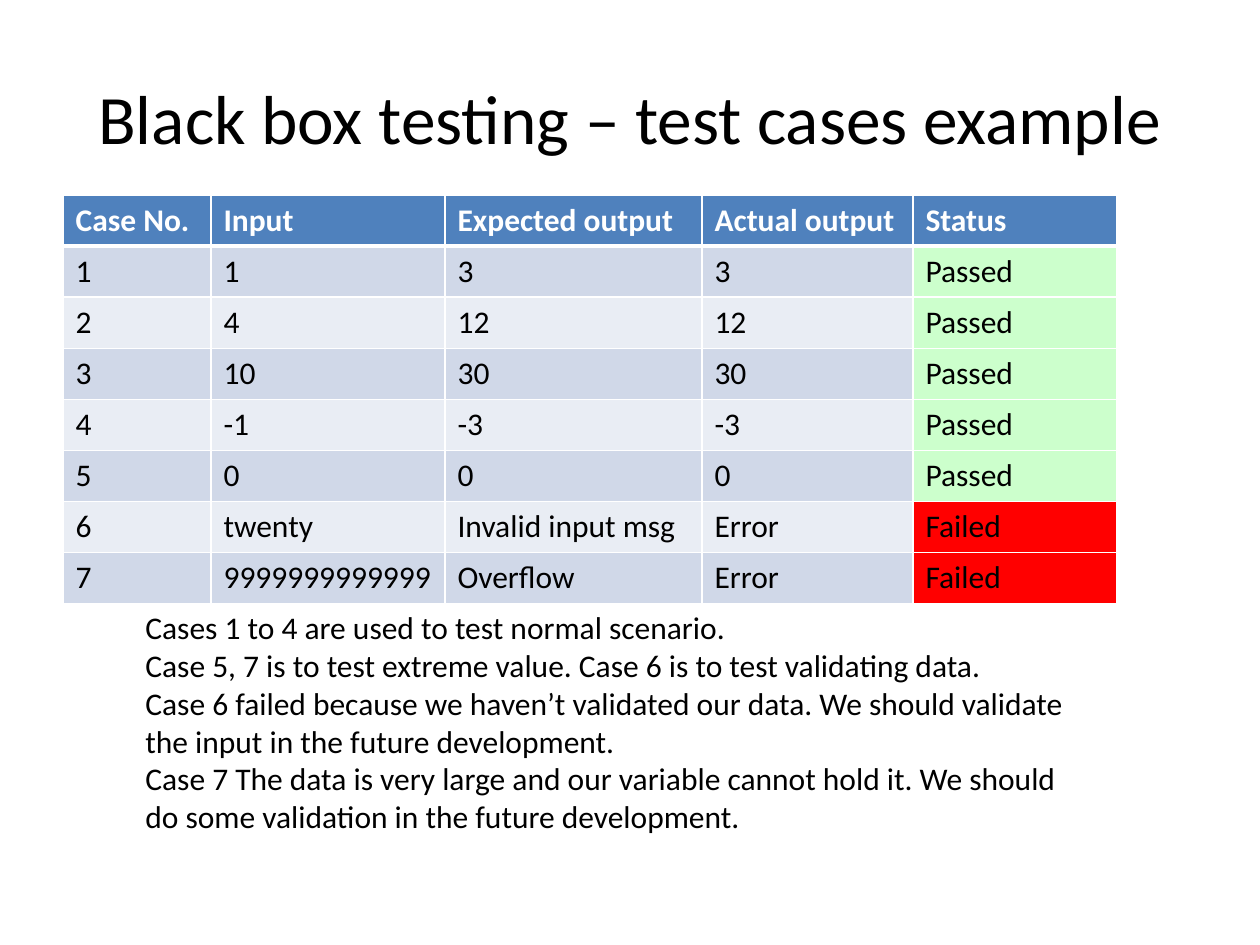
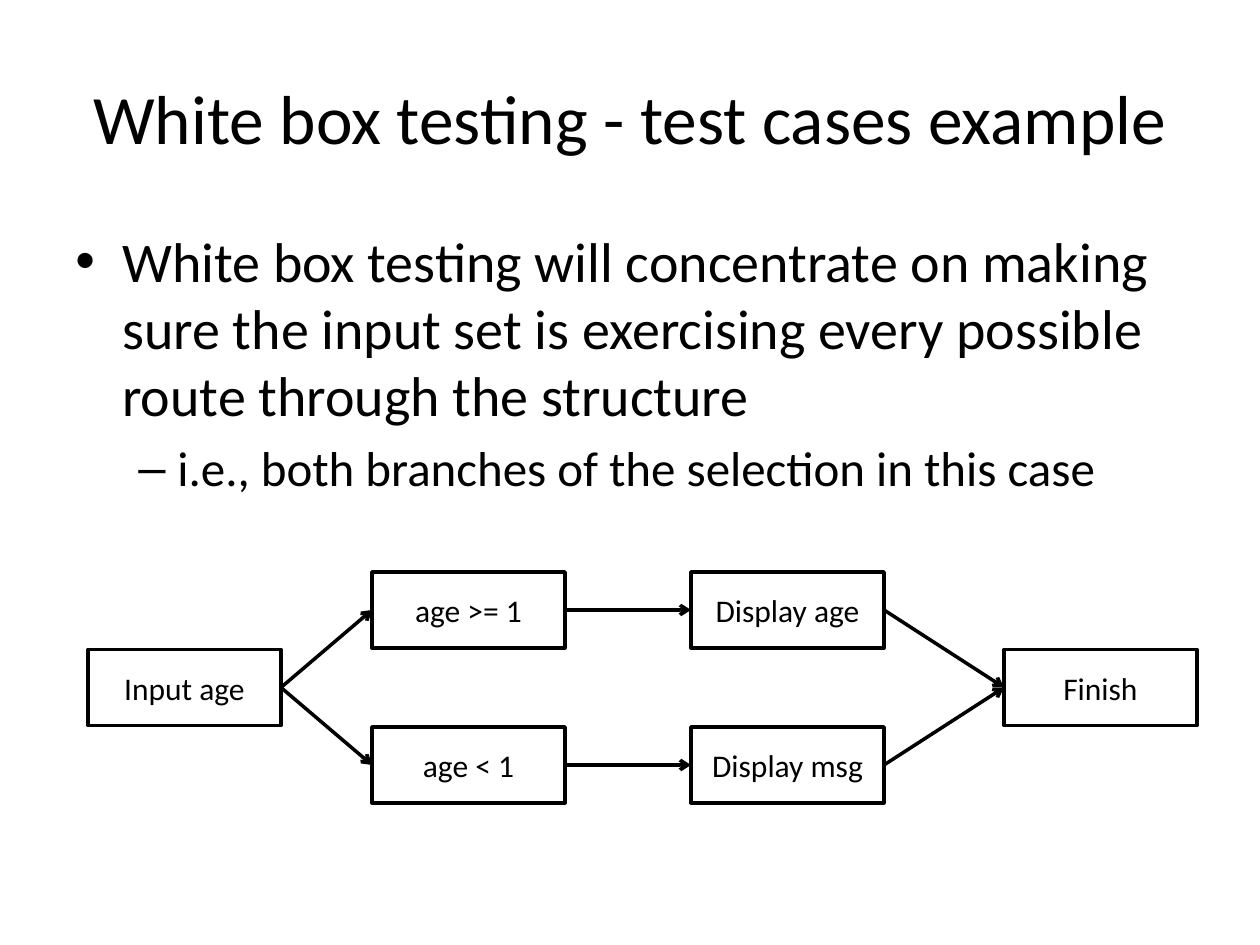
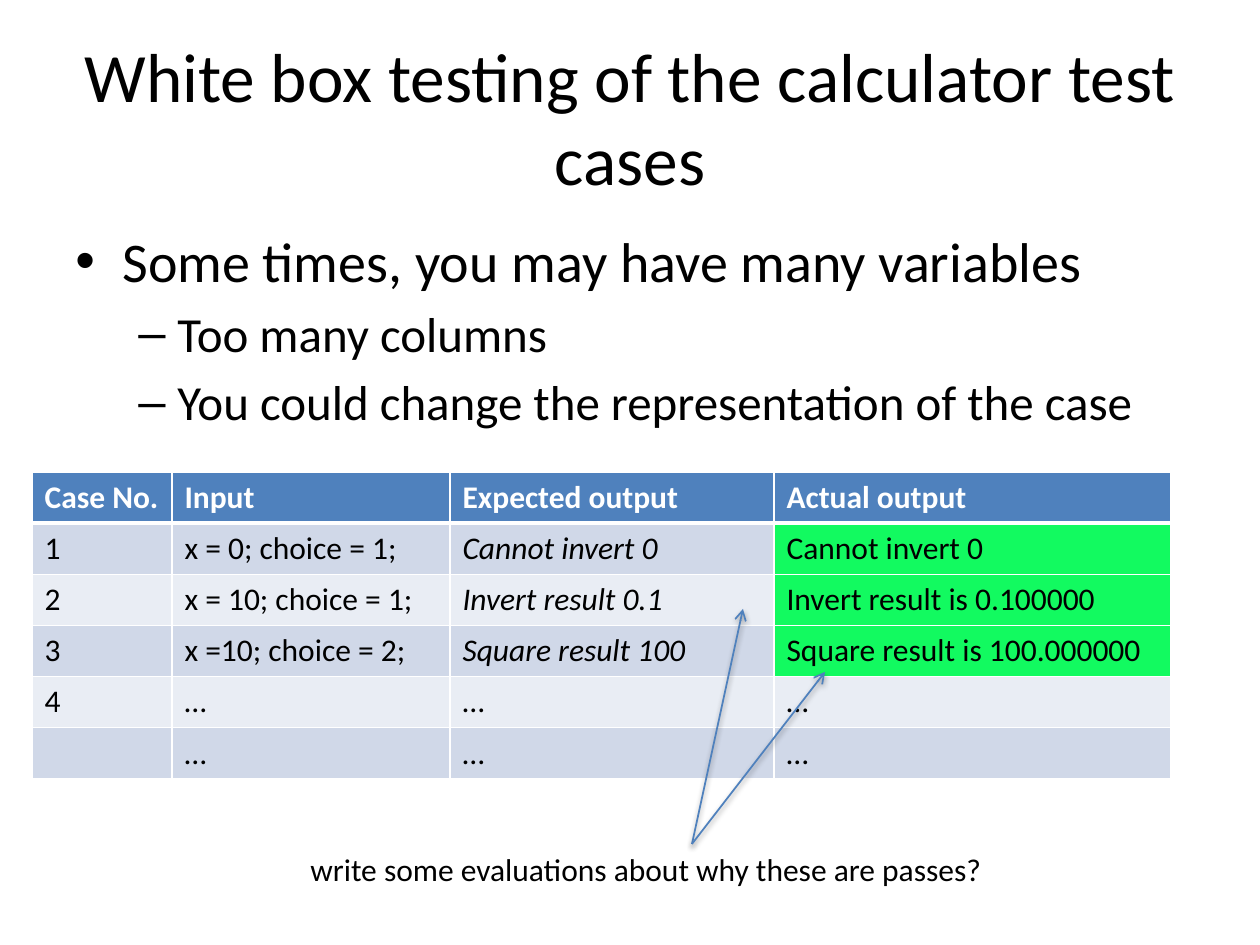
import pptx
import pptx.util
import pptx.dml.color
import pptx.enum.shapes
import pptx.enum.text
import pptx.oxml
import pptx.oxml.ns
import lxml.etree

PX = 914400 / 126
FONT = "Calibri"
INK = {
    "text": "000000", "white": "FFFFFF", "head": "4F81BD",
    "odd": "D0D8E8", "even": "E9EDF4",
    "pass": "CCFFCC", "fail": "FF0000", "match": "12FA60",
}
TITLE = (63, 38, 1134, 157)
BODY = (63, 220, 1134, 624)
LEVELS = [("•", 32, 47, -47), ("–", 28, 102, -39)]


def emu(px):
    return round(px * PX)


def color(name):
    return pptx.dml.color.RGBColor.from_string(INK[name])


def add_xml(parent, tag, **attrs):
    item = lxml.etree.SubElement(parent, pptx.oxml.ns.qn(tag))
    for key, value in attrs.items():
        item.set(key, str(value))
    return item


def style(para, size, ink="text", bold=False, slant=False):
    font = para.font
    font.name = FONT
    font.size = pptx.util.Pt(size)
    font.color.rgb = color(ink)
    font.bold = bold
    font.italic = slant


def add_text(slide, box, lines):
    shape = slide.shapes.add_textbox(*map(emu, box))
    frame = shape.text_frame
    frame.word_wrap = True
    frame.text = "\n".join(lines)
    return frame


def add_title(slide, box, words):
    frame = add_text(slide, box, [words])
    frame.vertical_anchor = pptx.enum.text.MSO_ANCHOR.MIDDLE
    para = frame.paragraphs[0]
    para.alignment = pptx.enum.text.PP_ALIGN.CENTER
    style(para, 39.6)


def add_body(slide, box, items):
    frame = add_text(slide, box, [words for level, words in items])
    for para, (level, words) in zip(frame.paragraphs, items):
        mark, size, left, hang = LEVELS[level]
        para.level = level
        para.space_before = pptx.util.Pt(size * 0.2)
        props = para._p.get_or_add_pPr()
        props.set("marL", str(emu(left)))
        props.set("indent", str(emu(hang)))
        add_xml(props, "a:buFont", typeface="Arial")
        add_xml(props, "a:buChar", char=mark)
        style(para, size)


def add_note(slide, box, lines):
    frame = add_text(slide, box, lines)
    frame.auto_size = pptx.enum.text.MSO_AUTO_SIZE.SHAPE_TO_FIT_TEXT
    for para in frame.paragraphs:
        style(para, 18)


def add_edges(cell, row):
    props = cell._tc.get_or_add_tcPr()
    widths = {"L": 1, "R": 1, "T": 3 if row == 1 else 1, "B": 3 if row == 0 else 1}
    for side, width in widths.items():
        line = add_xml(props, "a:ln" + side, w=width * 12700)
        fill = add_xml(line, "a:solidFill")
        add_xml(fill, "a:srgbClr", val=INK["white"])


def add_grid(slide, spot, widths, height, rows, tint, slant=None):
    box = (*spot, sum(widths), height)
    table = slide.shapes.add_table(len(rows), len(widths), *map(emu, box)).table
    for column, width in zip(table.columns, widths):
        column.width = emu(width)
    for r, words in enumerate(rows):
        table.rows[r].height = emu(height / len(rows))
        band = "head" if r == 0 else "odd" if r % 2 else "even"
        for c, word in enumerate(words):
            cell = table.cell(r, c)
            cell.text = word
            add_edges(cell, r)
            last = r > 0 and c == len(widths) - 1
            cell.fill.solid()
            cell.fill.fore_color.rgb = color(tint(word) or band if last else band)
            style(cell.text_frame.paragraphs[0], 18, "text" if r else "white",
                  r == 0, r > 0 and c == slant and word != "…")


def add_arrow(slide, start, end, ink, width, shade=False):
    kind = pptx.enum.shapes.MSO_CONNECTOR.STRAIGHT
    arrow = slide.shapes.add_connector(kind, *map(emu, (*start, *end)))
    arrow.line.color.rgb = color(ink)
    arrow.line.width = pptx.util.Pt(width)
    add_xml(arrow.line._get_or_add_ln(), "a:tailEnd", type="arrow")
    effect = add_xml(arrow._element.spPr, "a:effectLst")
    if shade:
        shadow = add_xml(effect, "a:outerShdw", blurRad=40000, dist=20000,
                         dir=5400000, rotWithShape=0)
        tone = add_xml(shadow, "a:srgbClr", val=INK["text"])
        add_xml(tone, "a:alpha", val=38000)
    return arrow


def add_flow(slide, box):
    left, top, width, height = box
    wide, high = 193, 76
    step = (height - high) / 2
    cols = [0, 284, 603, width - wide]
    nodes = {
        "Input age": (0, 1), "age >= 1": (1, 0), "age < 1": (1, 2),
        "Display age": (2, 0), "Display msg": (2, 2), "Finish": (3, 1),
    }
    links = [
        ("Input age", "age >= 1"), ("Input age", "age < 1"),
        ("age >= 1", "Display age"), ("age < 1", "Display msg"),
        ("Display age", "Finish"), ("Display msg", "Finish"),
    ]
    shapes = {}
    for words, (col, row) in nodes.items():
        place = (left + cols[col], top + row * step, wide, high)
        shape = slide.shapes.add_shape(
            pptx.enum.shapes.MSO_SHAPE.RECTANGLE, *map(emu, place))
        shape.shadow.inherit = False
        shape.fill.solid()
        shape.fill.fore_color.rgb = color("white")
        shape.line.color.rgb = color("text")
        shape.line.width = pptx.util.Pt(2)
        frame = shape.text_frame
        frame.text = words
        frame.vertical_anchor = pptx.enum.text.MSO_ANCHOR.MIDDLE
        para = frame.paragraphs[0]
        para.alignment = pptx.enum.text.PP_ALIGN.CENTER
        style(para, 18)
        shapes[words] = shape
    for start, end in links:
        arrow = add_arrow(slide, (0, 0), (0, 0), "text", 2)
        arrow.begin_connect(shapes[start], 3)
        arrow.end_connect(shapes[end], 1)


def add_slide(deck, title):
    slide = deck.slides.add_slide(deck.slide_layouts[6])
    add_title(slide, TITLE, title)
    return slide


def black_box(deck):
    slide = add_slide(deck, "Black box testing – test cases example")
    rows = [
        ("Case No.", "Input", "Expected output", "Actual output", "Status"),
        ("1", "1", "3", "3", "Passed"),
        ("2", "4", "12", "12", "Passed"),
        ("3", "10", "30", "30", "Passed"),
        ("4", "-1", "-3", "-3", "Passed"),
        ("5", "0", "0", "0", "Passed"),
        ("6", "twenty", "Invalid input msg", "Error", "Failed"),
        ("7", "9999999999999", "Overflow", "Error", "Failed"),
    ]
    add_grid(slide, (63, 195), [148, 234, 257, 211, 204], 409, rows,
             {"Passed": "pass", "Failed": "fail"}.get)
    add_note(slide, (133, 602, 969, 242), [
        "Cases 1 to 4 are used to test normal scenario.",
        "Case 5, 7 is to test extreme value. Case 6 is to test validating data.",
        "Case 6 failed because we haven’t validated our data. "
        "We should validate the input in the future development.",
        "Case 7 The data is very large and our variable cannot hold it. "
        "We should do some validation in the future development.",
    ])


def white_box(deck):
    slide = add_slide(deck, "White box testing - test cases example")
    add_body(slide, BODY, [
        (0, "White box testing will concentrate on making sure the input set "
            "is exercising every possible route through the structure"),
        (1, "i.e., both branches of the selection in this case"),
    ])
    add_flow(slide, (88, 572, 1109, 231))


def calc_cases(deck):
    slide = add_slide(deck, "White box testing of the calculator test cases")
    add_body(slide, BODY, [
        (0, "Some times, you may have many variables"),
        (1, "Too many columns"),
        (1, "You could change the representation of the case"),
    ])
    rows = [
        ("Case No.", "Input", "Expected output", "Actual output"),
        ("1", "x = 0; choice = 1;", "Cannot invert 0", "Cannot invert 0"),
        ("2", "x = 10; choice = 1;", "Invert result 0.1", "Invert result is 0.100000"),
        ("3", "x =10; choice = 2;", "Square result 100", "Square result is 100.000000"),
        ("4", "…", "…", "…"),
        ("", "…", "…", "…"),
    ]
    add_grid(slide, (32, 472), [140, 278, 324, 397], 307, rows,
             lambda word: None if word == "…" else "match", slant=2)
    add_note(slide, (298, 844, 776, 50),
             ["write some evaluations about why these are passes?"])
    for end in [(743, 609), (825, 672)]:
        add_arrow(slide, (692, 844), end, "head", 1, shade=True)


def main():
    deck = pptx.Presentation()
    deck.slide_width = emu(1260)
    deck.slide_height = emu(945)
    black_box(deck)
    white_box(deck)
    calc_cases(deck)
    deck.save("out.pptx")


if __name__ == "__main__":
    main()
